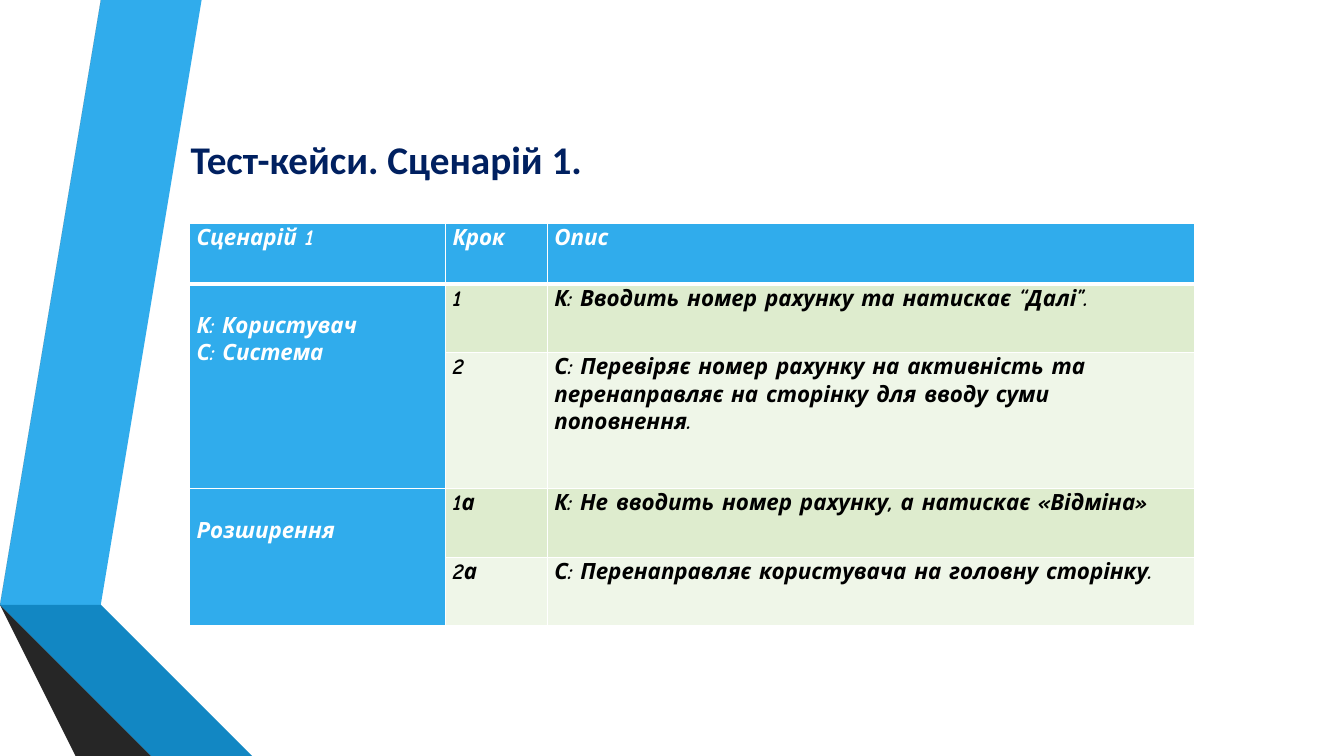
from pptx import Presentation
from pptx.dml.color import RGBColor
from pptx.enum.text import MSO_ANCHOR, PP_ALIGN
from pptx.oxml.ns import qn
from pptx.util import Inches, Pt
from lxml import etree

BOTTOM = MSO_ANCHOR.BOTTOM
TOP = MSO_ANCHOR.TOP
LEFT = PP_ALIGN.LEFT

COLORS = {
    "blue": "30ACEC", "ocean": "1287C3", "deep": "0C5A82",
    "gray": "595959", "dark": "404040", "coal": "262626",
    "navy": "002060", "white": "FFFFFF", "black": "000000",
    "green": "DEECCE", "pale": "EFF6E8",
}

TITLE = "Тест-кейси. Сценарій 1."
HEADS = ["Сценарій 1", "Крок", "Опис"]
GROUPS = [
    (["К: Користувач", "С: Система"], [
        ("1", "К: Вводить номер рахунку та натискає “Далі”."),
        ("2", "С: Перевіряє номер рахунку на активність та "
              "перенаправляє на сторінку для вводу суми поповнення."),
    ]),
    (["Розширення"], [
        ("1а", "К: Не вводить номер рахунку, а натискає «Відміна»"),
        ("2а", "С: Перенаправляє користувача на головну сторінку."),
    ]),
]
WIDTHS = [2.54, 1.01, 6.42]
HEIGHTS = [0.6, 0.68, 1.35, 0.68, 0.68]
LINE = 0.27

RIBBONS = [
    ("blue", [(0.5, 5.78), (0.77, 5.83), (1.73, 0), (1.45, 0)]),
    ("gray", [(1.39, 0), (1.11, 0), (0.16, 5.73), (0.44, 5.77)]),
    ("coal", [(0.16, 5.73), (1.45, 7.5), (1.51, 7.5)]),
    ("deep", [(0.5, 5.79), (2.08, 7.5), (2.14, 7.5)]),
    ("ocean", [(0.5, 5.78), (2.14, 7.5), (2.83, 7.5), (0.77, 5.83)]),
    ("dark", [(2.02, 7.5), (0.48, 5.83), (0.44, 5.77), (0.16, 5.73), (1.51, 7.5)]),
]


def rgb(name):
    return RGBColor.from_string(COLORS[name])


def add_run(para, text, face, size, color, slant):
    run = para.add_run()
    run.text = text
    font = run.font
    font.name, font.size = face, Pt(size)
    font.bold, font.italic = True, slant
    font.color.rgb = rgb(color)


def add_ribbon(slide, color, points):
    form = slide.shapes.build_freeform(*points[0], scale=Inches(1))
    form.add_line_segments(points[1:], close=True)
    shape = form.convert_to_shape()
    shape.shadow.inherit = False
    shape.fill.solid()
    shape.fill.fore_color.rgb = rgb(color)
    shape.line.fill.background()


def set_edges(cell, top, bottom):
    props = cell._tc.get_or_add_tcPr()
    for side, width in (("L", 1), ("R", 1), ("T", top), ("B", bottom)):
        edge = etree.SubElement(props, qn(f"a:ln{side}"), w=str(Pt(width)))
        fill = etree.SubElement(edge, qn("a:solidFill"))
        etree.SubElement(fill, qn("a:srgbClr"), val=COLORS["white"])


def style_cell(cell, row, color):
    set_edges(cell, 3 if row == 1 else 1, 3 if row == 0 else 1)
    cell.fill.solid()
    cell.fill.fore_color.rgb = rgb(color)
    cell.margin_left = cell.margin_right = Inches(0.07)
    cell.margin_top = cell.margin_bottom = 0
    cell.vertical_anchor = TOP


def write_cell(cell, lines, color):
    frame = cell.text_frame
    for i, line in enumerate(lines):
        para = frame.add_paragraph() if i else frame.paragraphs[0]
        para.line_spacing = 1.07
        add_run(para, line, "Comic Neue", 16, color, True)


def add_title(slide):
    title = slide.shapes.title
    title.left, title.top = Inches(1.79), Inches(1.11)
    title.width, title.height = Inches(5.93), Inches(0.75)
    frame = title.text_frame
    frame.vertical_anchor = BOTTOM
    para = frame.paragraphs[0]
    para.alignment = LEFT
    add_run(para, TITLE, "Calibri", 28, "navy", False)


def add_cases(slide):
    table = slide.shapes.add_table(
        len(HEIGHTS), len(WIDTHS), Inches(1.88), Inches(2.22),
        Inches(sum(WIDTHS)), Inches(sum(HEIGHTS))).table
    for col, width in zip(table.columns, WIDTHS):
        col.width = Inches(width)
    for r, height in enumerate(HEIGHTS):
        table.rows[r].height = Inches(height)
        for c in range(len(WIDTHS)):
            body = "green" if r % 2 else "pale"
            style_cell(table.cell(r, c), r, body if r and c else "blue")
    for c, head in enumerate(HEADS):
        write_cell(table.cell(0, c), [head], "white")
    row = 1
    for label, steps in GROUPS:
        lead = table.cell(row, 0)
        lead.merge(table.cell(row + len(steps) - 1, 0))
        lead.margin_top = Inches(LINE)
        write_cell(lead, label, "white")
        for step in steps:
            for c, text in enumerate(step, 1):
                write_cell(table.cell(row, c), [text], "black")
            row += 1


def main():
    deck = Presentation()
    deck.slide_width, deck.slide_height = Inches(13.33), Inches(7.5)
    slide = deck.slides.add_slide(deck.slide_layouts[5])
    for color, points in RIBBONS:
        add_ribbon(slide, color, points)
    add_title(slide)
    add_cases(slide)
    deck.save("out.pptx")


if __name__ == "__main__":
    main()
